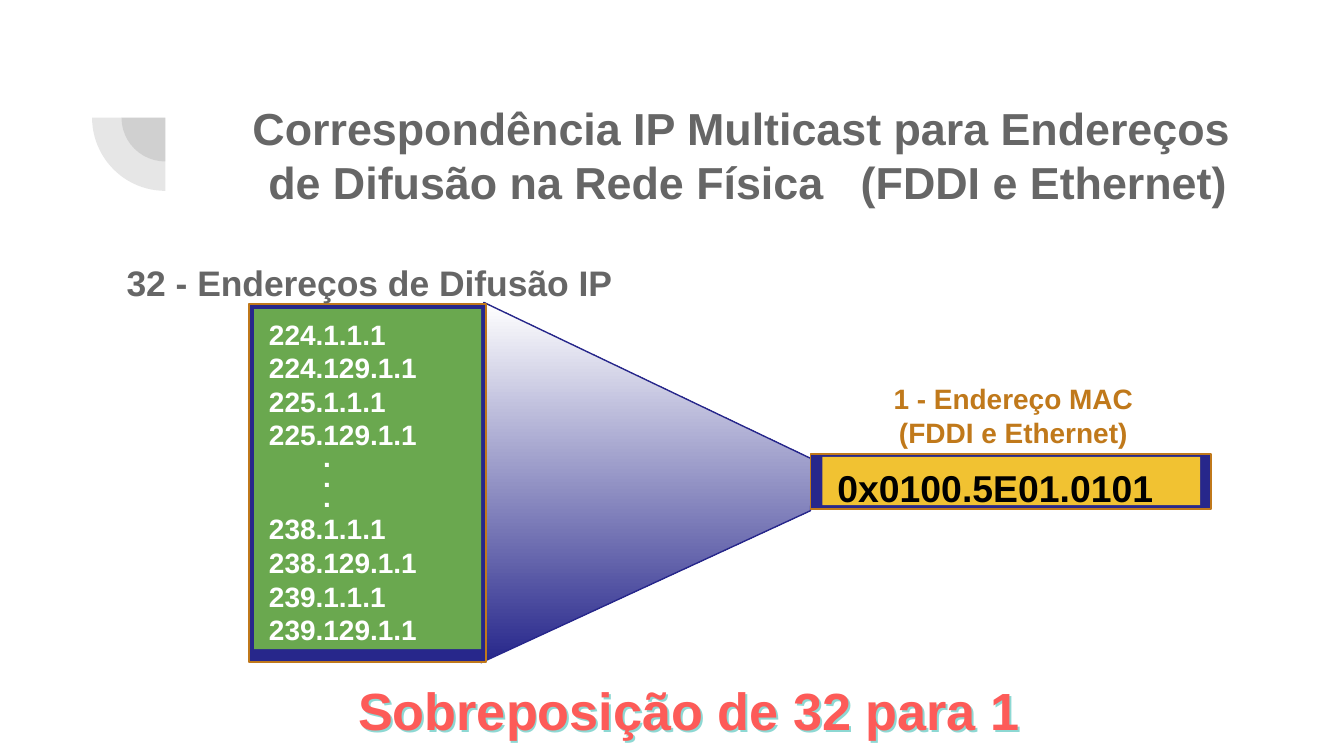
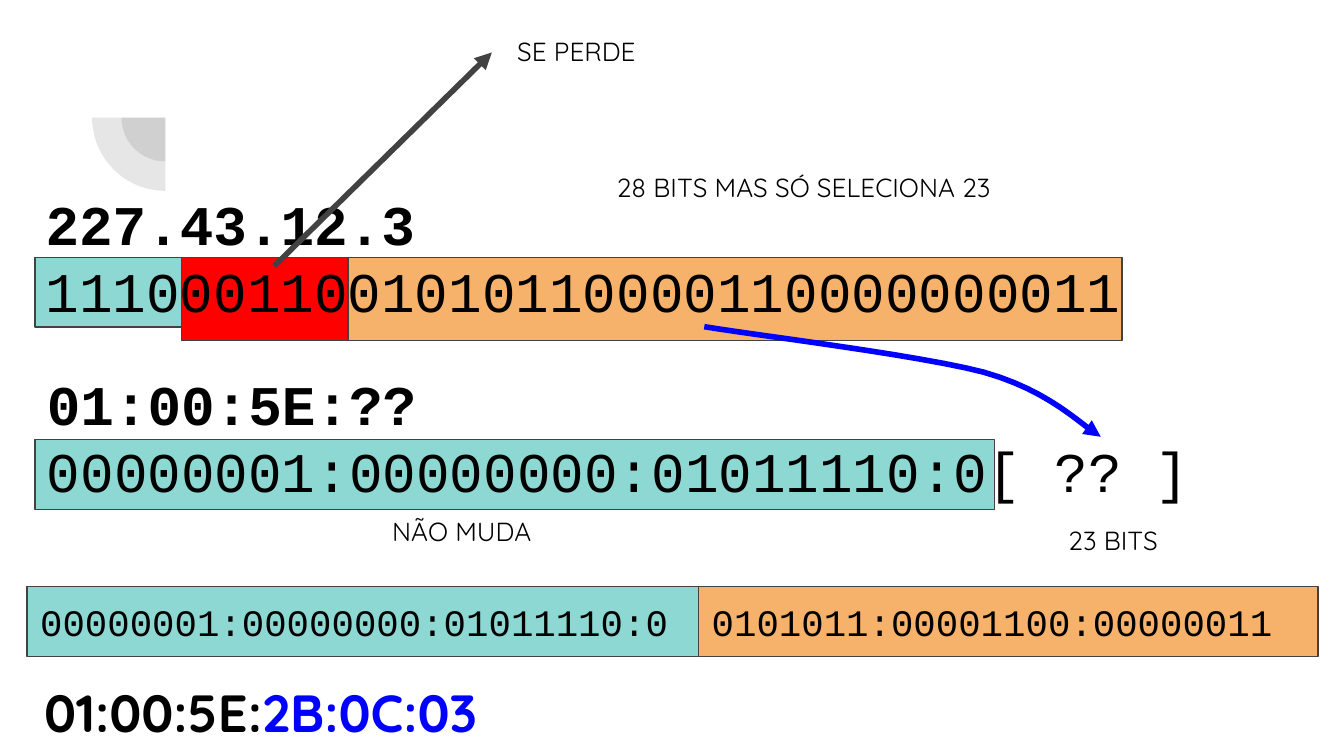
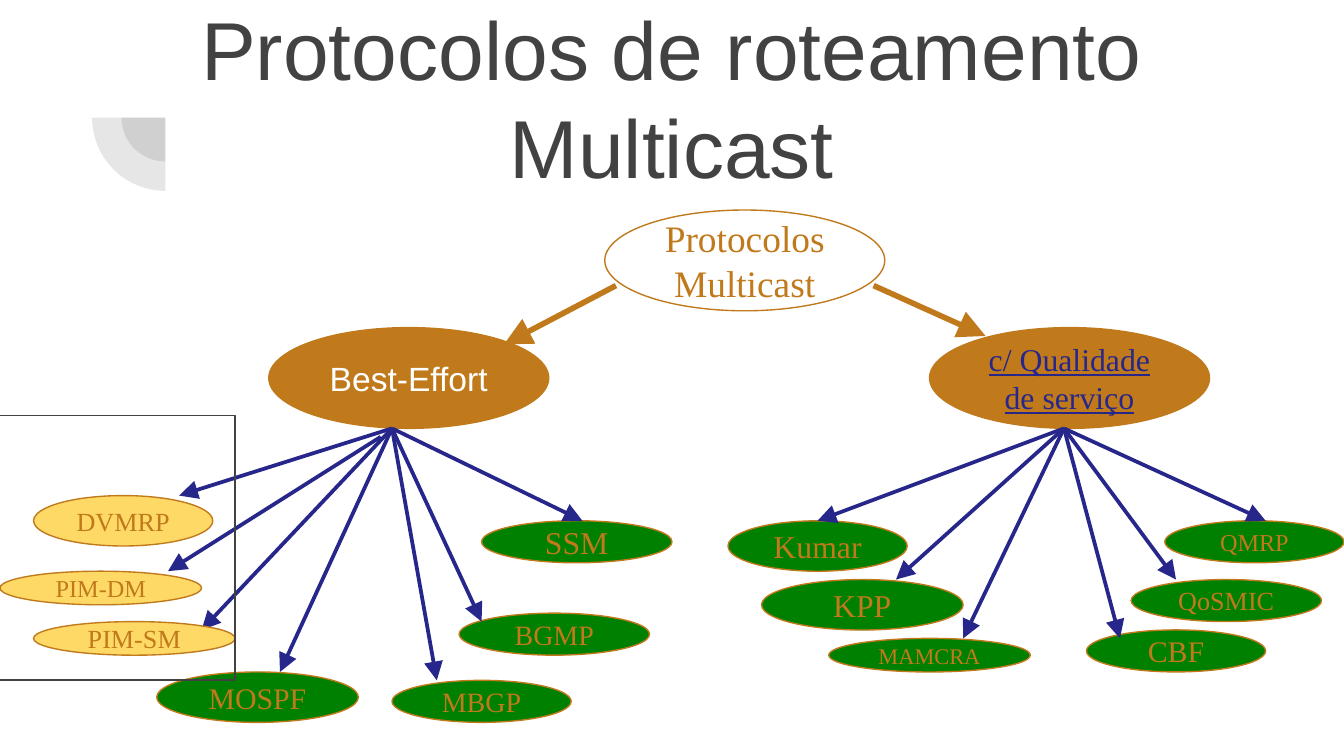
import pptx
import pptx.util
import pptx.dml.color
import pptx.enum.shapes
import pptx.enum.text
import pptx.oxml
import pptx.oxml.ns
import lxml.etree

Pt = pptx.util.Pt
RGB = pptx.dml.color.RGBColor.from_string
SHAPE = pptx.enum.shapes.MSO_SHAPE
ALIGN = pptx.enum.text.PP_ALIGN
ANCHOR = pptx.enum.text.MSO_ANCHOR
qn = pptx.oxml.ns.qn

C = {
    "dark": "424242", "grey": "666666", "navy": "27278B", "ochre": "C0791B",
    "leaf": "6AA84F", "gold": "F1C232", "white": "FFFFFF", "black": "000000",
    "coral": "FD5B58", "teal": "8DD8D3", "orange": "F6B26B", "red": "FF0000",
    "blue": "0000FF", "green": "008000", "yellow": "FFD966",
}
SANS, MONO, ROUND, SERIF = "Arial", "Courier New", "Quicksand", "Times New Roman"


def box(s, kind, at, fill=None, line=None, width=0.75, lines=(), font=SANS, size=15,
        color="black", bold=False, align=ALIGN.LEFT, anchor=ANCHOR.TOP, inset=(7.2, 7.2),
        wrap=True):
    at = [Pt(v) for v in at]
    if kind is None:
        sp = s.shapes.add_textbox(*at)
    else:
        sp = s.shapes.add_shape(kind, *at)
        sp.shadow.inherit = False
    if fill:
        sp.fill.solid()
        sp.fill.fore_color.rgb = RGB(C[fill])
    else:
        sp.fill.background()
    if line:
        sp.line.color.rgb = RGB(C[line])
        sp.line.width = Pt(width)
    else:
        sp.line.fill.background()
    tf = sp.text_frame
    tf.word_wrap = wrap
    tf.vertical_anchor = anchor
    tf.margin_left = tf.margin_right = Pt(inset[0])
    tf.margin_top = tf.margin_bottom = Pt(inset[1])
    for i, text in enumerate(lines):
        p = tf.add_paragraph() if i else tf.paragraphs[0]
        p.text = text
        p.alignment = align
        p.line_spacing = 1.0
        p.font.name = font
        p.font.size = Pt(size)
        p.font.bold = bold
        p.font.color.rgb = RGB(C[color])
    return sp


def arrow(s, start, end, color, width, head="med"):
    cx = s.shapes.add_connector(pptx.enum.shapes.MSO_CONNECTOR.STRAIGHT,
                                *[Pt(v) for v in (*start, *end)])
    cx.line.color.rgb = RGB(C[color])
    cx.line.width = Pt(width)
    lxml.etree.SubElement(cx.line._get_or_add_ln(), qn("a:tailEnd"), type="triangle",
                          w=head, len=head)
    lxml.etree.SubElement(cx._element.spPr, qn("a:effectLst"))


prs = pptx.Presentation()
prs.slide_width, prs.slide_height = Pt(720), Pt(405)
slides = [prs.slides.add_slide(prs.slide_layouts[6]) for i in range(3)]
for s in slides:
    for d in (47, 78.5):
        sp = box(s, SHAPE.PIE, (88.6 - d / 2, 63 - d / 2, d, d), "dark")
        sp.rotation = 270
        sp.adjustments[0], sp.adjustments[1] = 108, 162
        clr = sp._element.spPr.find(".//" + qn("a:srgbClr"))
        lxml.etree.SubElement(clr, qn("a:alpha"), val="13000")

s = slides[0]
fb = s.shapes.build_freeform(Pt(259.2), Pt(162))
fb.add_line_segments([(Pt(x), Pt(y)) for x, y in
                      ((435.6, 246.2), (434.2, 273.6), (257.8, 355))], close=True)
sp = fb.convert_to_shape()
sp.shadow.inherit = False
sp.fill.gradient()
sp.fill.gradient_angle = 90
for stop, name in zip(sp.fill.gradient_stops, ("navy", "white")):
    stop.color.rgb = RGB(C[name])
sp.line.color.rgb = RGB(C["navy"])
sp.line.width = Pt(0.75)

box(s, SHAPE.RECTANGLE, (434.2, 243.4, 214.6, 29.5), "navy", "ochre", 1)
box(s, SHAPE.RECTANGLE, (133.2, 162.7, 127.4, 192.2), "navy", "ochre", 1)
sp = box(s, SHAPE.RECTANGLE, (136.1, 165.6, 121.7, 182.2), "leaf",
         lines=["224.1.1.1", "224.129.1.1", "225.1.1.1", "225.129.1.1", ".", ".", ".",
                "238.1.1.1", "238.129.1.1", "239.1.1.1", "239.129.1.1"],
         color="white", bold=True, inset=(8, 4.3))
for p in sp.text_frame.paragraphs[4:7]:
    p.line_spacing = 0.6
    p._p.get_or_add_pPr().set("marL", str(Pt(29)))
box(s, SHAPE.RECTANGLE, (440.6, 244.8, 202.3, 25.9), "gold", lines=["0x0100.5E01.0101"],
    size=20, bold=True, inset=(8, 4.3))
box(s, None, (449.3, 200.2, 187.2, 42.5), lines=["1 - Endereço MAC", "(FDDI e Ethernet)"],
    color="ochre", bold=True, align=ALIGN.CENTER, inset=(8, 4.3))
box(s, None, (59.8, 135.4, 290.9, 24.5), lines=["32 - Endereços de Difusão IP"],
    size=19, color="grey", bold=True, inset=(8, 4.3))
sp = box(s, None, (172.8, 360, 392.4, 31.7), lines=["Sobreposição de 32 para 1"],
         size=28, color="coral", bold=True, align=ALIGN.CENTER, inset=(6.5, 3.6))
fx = lxml.etree.SubElement(sp._element.spPr, qn("a:effectLst"))
fx = lxml.etree.SubElement(fx, qn("a:outerShdw"), dist=str(Pt(1.5)), dir="2700000")
lxml.etree.SubElement(fx, qn("a:srgbClr"), val=C["teal"])
sp = box(s, None, (82.1, 52.6, 630, 60.5),
         lines=["Correspondência IP Multicast para Endereços", "de Difusão na Rede Física"],
         size=24, color="grey", bold=True, align=ALIGN.CENTER, anchor=ANCHOR.MIDDLE,
         inset=(6.5, 2.9))
p = sp.text_frame.paragraphs[1]
p._p.get_or_add_pPr().set("marL", str(Pt(6.7)))
r = p.add_run()
r.text = " "
r._r.get_or_add_rPr().set("spc", "1330")
p.add_run().text = "(FDDI e Ethernet)"

s = slides[1]
for at, fill in (((97.2, 137.8, 89.3, 44.6), "red"), ((18.7, 137.8, 78.5, 37.4), "teal"),
                 ((186.5, 137.8, 414.7, 44.6), "orange"), ((18.7, 235.6, 514, 37.4), "teal")):
    box(s, SHAPE.RECTANGLE, at, fill, "dark")
for at, lines in (((17.3, 94.3, 651.6, 74.2),
                   ["227.43.12.3", "11100011001010110000110000000011"]),
                  ((18, 190.8, 684.7, 74.2),
                   ["01:00:5E:??", "00000001:00000000:01011110:0[ ?? ]"])):
    sp = box(s, None, at, lines=lines, font=MONO, size=30)
    sp.text_frame.paragraphs[0].font.bold = True
for at, text in (((203, 268.8, 167, 31), "NÃO MUDA"),
                 ((323.3, 84.7, 241.9, 44.6), "28 BITS MAS SÓ SELECIONA 23"),
                 ((270, 11.5, 78.5, 44.6), "SE PERDE"),
                 ((565.2, 273.6, 74.2, 44.6), "23 BITS")):
    box(s, None, at, lines=[text], font=ROUND, size=14)

curves = [((377.3, 175), (402.5, 179.3), (491.8, 190.1), (527, 199.4)),
          ((527, 199.4), (563, 209.5), (579.6, 228.2), (589.7, 234))]
points = []
for curve in curves:
    for i in range(1, 13):
        t = i / 12
        weights = ((1 - t) ** 3, 3 * t * (1 - t) ** 2, 3 * t * t * (1 - t), t ** 3)
        points.append([Pt(sum(w * q[k] for w, q in zip(weights, curve))) for k in (0, 1)])
fb = s.shapes.build_freeform(Pt(377.3), Pt(175))
fb.add_line_segments(points, close=False)
sp = fb.convert_to_shape()
sp.shadow.inherit = False
sp.fill.background()
sp.line.color.rgb = RGB(C["blue"])
sp.line.width = Pt(3)
lxml.etree.SubElement(sp.line._get_or_add_ln(), qn("a:tailEnd"), type="triangle")
arrow(s, (146.9, 142.6), (263.5, 28.1), "dark", 3)

for x, w, fill, text in ((14.4, 359.8, "teal", "00000001:00000000:01011110:0"),
                         (374.2, 332, "orange", "0101011:00001100:00000011")):
    box(s, SHAPE.RECTANGLE, (x, 314.2, w, 37.4), fill, "dark", lines=[text], font=MONO,
        size=20, anchor=ANCHOR.MIDDLE)
sp = box(s, None, (16.6, 357.1, 311.8, 37.4), lines=["01:00:5E:"], font=ROUND, size=28,
         bold=True)
r = sp.text_frame.paragraphs[0].add_run()
r.text = "2B:0C:03"
r.font.color.rgb = RGB(C["blue"])

s = slides[2]
box(s, None, (54, 18, 612, 67.7), lines=["Protocolos de roteamento Multicast"], size=44,
    color="dark", align=ALIGN.CENTER, anchor=ANCHOR.MIDDLE, inset=(7.2, 3.6))
oval = dict(line="ochre", align=ALIGN.CENTER, anchor=ANCHOR.MIDDLE, inset=(0, 0), wrap=False)
for x, y, fill, text, font, size, color in (
        (324, 112.5, "white", "Protocolos\vMulticast", SERIF, 20, "ochre"),
        (144, 175.5, "ochre", "Best-Effort", SANS, 18, "white"),
        (498, 175.5, "ochre", "c/ Qualidade\vde serviço", SERIF, 17, "navy")):
    sp = box(s, SHAPE.OVAL, (x, y, 150, 54), fill, lines=[text], font=font, size=size,
             color=color, **oval)
sp.text_frame.paragraphs[0].font.underline = True
arrow(s, (330, 153), (270, 184.5), "ochre", 3, "lg")
arrow(s, (468, 153), (528, 180), "ochre", 3, "lg")

leaves = [
    (18, 265.5, 96, 27, "yellow", "DVMRP", 14),
    (0, 306, 108, 18, "yellow", "PIM-DM", 13),
    (84, 360, 108, 27, "green", "MOSPF", 16),
    (210, 364.5, 96, 22.5, "green", "MBGP", 15),
    (246, 328.5, 102, 22.5, "green", "BGMP", 15),
    (258, 279, 102, 22.5, "green", "SSM", 17),
    (390, 279, 96, 27, "green", "Kumar", 17),
    (408, 310.5, 108, 27, "green", "KPP", 17),
    (444, 342, 108, 18, "green", "MAMCRA", 12),
    (582, 337.5, 96, 22.5, "green", "CBF", 16),
    (606, 310.5, 102, 22.5, "green", "QoSMIC", 14),
    (624, 279, 96, 22.5, "green", "QMRP", 13),
    (18, 333, 108, 18, "yellow", "PIM-SM", 14),
]
tips = {
    (210, 229.5): [(96, 265.5), (108, 337.5), (150, 360), (312, 279), (258, 333), (234, 364.5)],
    (570, 229.5): [(438, 279), (678, 279), (480, 310.5), (630, 310.5), (516, 342), (600, 342)],
    (204, 234): [(90, 306)],
}
for x, y, w, h, fill, text, size in leaves:
    if text == "PIM-SM":
        for start, ends in tips.items():
            for end in ends:
                arrow(s, start, end, "navy", 2, "lg")
    box(s, SHAPE.OVAL, (x, y, w, h), fill, lines=[text], font=SERIF, size=size,
        color="ochre", **oval)
box(s, SHAPE.RECTANGLE, (-27.4, 222.5, 153.4, 141.8), None, "dark")

prs.save("out.pptx")
